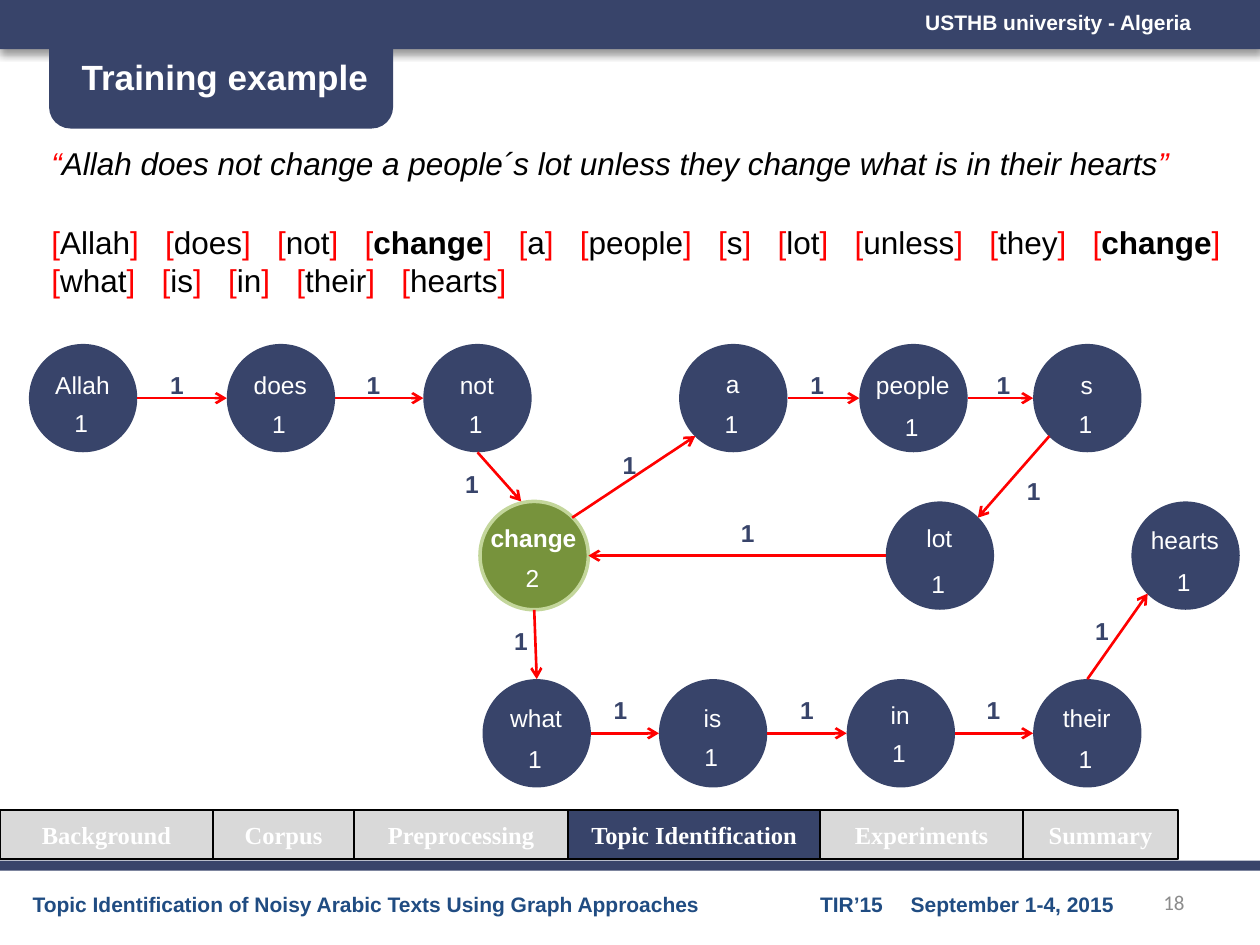
from dataclasses import dataclass

from lxml.etree import SubElement
from pptx import Presentation
from pptx.dml.color import RGBColor
from pptx.enum.shapes import MSO_CONNECTOR, MSO_SHAPE
from pptx.enum.text import MSO_ANCHOR, PP_ALIGN
from pptx.oxml.ns import qn
from pptx.util import Inches, Pt


@dataclass(frozen=True)
class Theme:
    """Colours, typefaces and type sizes of the slide."""
    navy: str = "38446A"
    footer: str = "204C82"
    red: str = "FF0000"
    black: str = "000000"
    white: str = "FFFFFF"
    grey: str = "D9D9D9"
    number: str = "8C8C8C"
    green: str = "77933C"
    pale_green: str = "C3D69B"
    sans: str = "Arial"
    serif: str = "Times New Roman"
    number_face: str = "Calibri"
    small: int = 12
    label: int = 14
    body: int = 18
    title: int = 20


@dataclass(frozen=True)
class Box:
    """A rectangle in inches."""
    left: float
    top: float
    width: float
    height: float

    def inner(self, left, top, width, height):
        """Return a box placed relative to this one."""
        return Box(self.left + left, self.top + top, width, height)

    def point(self, across, down):
        """Return the point at the given fractions of this box."""
        return self.left + across * self.width, self.top + down * self.height

    def lengths(self):
        """Return the four sides as slide lengths."""
        return [Inches(side) for side in (self.left, self.top, self.width, self.height)]


THEME = Theme()
NODE_SIZE = 0.86
SITES = {
    "top": (0.5, 0), "bottom": (0.5, 1), "left": (0, 0.5), "right": (1, 0.5),
    "top left": (0.15, 0.15), "top right": (0.85, 0.15), "upper": (0.38, 0),
    "bottom left": (0.15, 0.85), "bottom right": (0.85, 0.85),
}
NODES = {
    "Allah": (0, 0, 0.16, 0.46, 1),
    "does": (1.57, 0, 0.16, 0.47, 1),
    "not": (3.13, 0, 0.16, 0.47, 1),
    "a": (5.16, 0, 0.15, 0.47, 1),
    "people": (6.59, 0, 0.16, 0.49, 1),
    "s": (7.97, 0, 0.16, 0.47, 1),
    "change": (3.58, 1.25, 0.12, 0.44, 2),
    "lot": (6.8, 1.25, 0.12, 0.49, 1),
    "hearts": (8.75, 1.25, 0.14, 0.47, 1),
    "what": (3.6, 2.66, 0.14, 0.47, 1),
    "is": (5, 2.66, 0.14, 0.45, 1),
    "in": (6.49, 2.66, 0.12, 0.42, 1),
    "their": (7.97, 2.66, 0.14, 0.47, 1),
}
EDGES = [
    ("Allah", "right", "does", "left", 1.02, 0.16),
    ("does", "right", "not", "left", 2.58, 0.16),
    ("not", "bottom", "change", "upper", 3.36, 0.94),
    ("change", "top right", "a", "bottom left", 4.61, 0.79),
    ("a", "right", "people", "left", 6.1, 0.16),
    ("people", "right", "s", "left", 7.58, 0.16),
    ("s", "bottom left", "lot", "top right", 7.82, 1),
    ("lot", "left", "change", "right", 5.55, 1.33),
    ("change", "bottom", "what", "top", 3.75, 2.19),
    ("what", "right", "is", "left", 4.54, 2.74),
    ("is", "right", "in", "left", 6.02, 2.74),
    ("in", "right", "their", "left", 7.5, 2.74),
    ("their", "top", "hearts", "bottom left", 8.36, 2.11),
]
SECTIONS = [("Background", 1.69), ("Corpus", 1.12), ("Preprocessing", 1.7),
            ("Topic Identification", 2), ("Experiments", 1.61), ("Summary", 1.23)]
QUOTE = "Allah does not change a people´s lot unless they change what is in their hearts"


def colour(code):
    """Turn a hex code into a colour."""
    return RGBColor.from_string(code)


def style(font, size, code, face=THEME.sans, bold=False, italic=False):
    """Set the look of a font."""
    font.name, font.size, font.bold, font.italic = face, Pt(size), bold, italic
    font.color.rgb = colour(code)


def add_text(page, box, text, size, code, align=PP_ALIGN.LEFT, **look):
    """Add a text box of one paragraph and return the paragraph."""
    frame = page.shapes.add_textbox(*box.lengths()).text_frame
    frame.word_wrap = True
    para = frame.paragraphs[0]
    para.text, para.alignment = text, align
    style(para.font, size, code, **look)
    return para


def add_span(para, text, code, bold=False):
    """Add a coloured run to a paragraph and return it."""
    span = para.add_run()
    span.text, span.font.bold = text, bold
    span.font.color.rgb = colour(code)
    return span


def add_block(page, kind, box, fill, line=None, width=1):
    """Add a flat filled shape."""
    block = page.shapes.add_shape(kind, *box.lengths())
    block.shadow.inherit = False
    block.fill.solid()
    block.fill.fore_color.rgb = colour(fill)
    if line:
        block.line.color.rgb = colour(line)
        block.line.width = Pt(width)
    else:
        block.line.fill.background()
    return block


def add_arrow(page, start, end):
    """Add a red arrow between two points."""
    ends = [Inches(value) for value in (*start, *end)]
    arrow = page.shapes.add_connector(MSO_CONNECTOR.STRAIGHT, *ends)
    arrow.line.color.rgb = colour(THEME.red)
    arrow.line.width = Pt(1.5)
    SubElement(arrow.line._get_or_add_ln(), qn("a:tailEnd"), type="arrow")
    SubElement(arrow._element.spPr, qn("a:effectLst"))


def add_header(page, box):
    """Draw the top bar and the title tab."""
    bar = add_block(page, MSO_SHAPE.RECTANGLE, box.inner(0, 0, box.width, 0.39), THEME.navy)
    effects = bar._element.spPr.find(qn("a:effectLst"))
    shadow = SubElement(effects, qn("a:outerShdw"), blurRad=str(Pt(4)), dist=str(Pt(3)),
                        dir="5400000", rotWithShape="0")
    tint = SubElement(shadow, qn("a:srgbClr"), val=THEME.black)
    SubElement(tint, qn("a:alpha"), val="40000")
    add_block(page, MSO_SHAPE.FLOWCHART_ALTERNATE_PROCESS,
              box.inner(0.39, 0, 2.73, 1.02), THEME.navy)
    add_text(page, box.inner(0.55, 0.39, 2.5, 0.44), "Training example",
             THEME.title, THEME.white, bold=True)
    add_text(page, box.inner(7.19, 0.03, 2.42, 0.31), "USTHB university - Algeria",
             THEME.small, THEME.white, PP_ALIGN.CENTER, bold=True)


def add_sentence(page, box):
    """Write the quoted sentence and its bracketed words."""
    quote = add_text(page, box.inner(0, 0, 9.22, 0.4), "", THEME.body, THEME.black, italic=True)
    for text, code in (("“", THEME.red), (QUOTE, THEME.black), ("”", THEME.red)):
        add_span(quote, text, code)
    tokens = add_text(page, box.inner(0, 0.63, box.width, 0.71), "", THEME.body, THEME.black)
    for index, word in enumerate(QUOTE.replace("´", " ").split()):
        if index:
            gap = add_span(tokens, " ", THEME.red)
            gap.font._rPr.set("spc", "1000")
        add_span(tokens, "[", THEME.red)
        add_span(tokens, word, THEME.black, word == "change")
        add_span(tokens, "]", THEME.red)


def add_node(page, box, word, label_top, count_top, count):
    """Draw a word circle with its count."""
    repeated = count > 1
    add_block(page, MSO_SHAPE.OVAL, box, THEME.green if repeated else THEME.navy,
              THEME.pale_green if repeated else None, 2)
    add_text(page, box.inner(-0.06, label_top, 0.97, 0.34), word,
             THEME.label, THEME.white, PP_ALIGN.CENTER, bold=repeated)
    add_text(page, box.inner(0.26, count_top, 0.31, 0.34), str(count),
             THEME.label, THEME.white, PP_ALIGN.CENTER)


def add_graph(page, box):
    """Draw the word graph with weighted arrows."""
    circles = {}
    for word, (left, top, *details) in NODES.items():
        circles[word] = box.inner(left, top, NODE_SIZE, NODE_SIZE)
        add_node(page, circles[word], word, *details)
    for source, exit_site, target, entry_site, left, top in EDGES:
        add_arrow(page, circles[source].point(*SITES[exit_site]),
                  circles[target].point(*SITES[entry_site]))
        add_text(page, box.inner(left, top, 0.31, 0.34), "1",
                 THEME.label, THEME.navy, PP_ALIGN.CENTER, bold=True)


def add_sections(page, box):
    """Draw the row of section tabs."""
    left = 0
    for name, width in SECTIONS:
        fill = THEME.navy if name == "Topic Identification" else THEME.grey
        tab = add_block(page, MSO_SHAPE.RECTANGLE, box.inner(left, 0, width, box.height),
                        fill, THEME.black)
        tab.text_frame.vertical_anchor = MSO_ANCHOR.MIDDLE
        para = tab.text_frame.paragraphs[0]
        para.text, para.alignment = name, PP_ALIGN.CENTER
        style(para.font, THEME.label, THEME.white, THEME.serif, bold=True)
        left += width


def add_footer(page, box):
    """Draw the bottom rule, the credits and the page number."""
    add_block(page, MSO_SHAPE.RECTANGLE, box.inner(0, 0, box.width, 0.08), THEME.navy)
    notes = [("Topic Identification of Noisy Arabic Texts Using Graph Approaches", 0.16, 5.55),
             ("TIR’15", 6.41, 0.75), ("September 1-4, 2015", 7.13, 2)]
    for text, left, width in notes:
        add_text(page, box.inner(left, 0.2, width, 0.3), text,
                 THEME.small, THEME.footer, bold=True)
    add_text(page, box.inner(9, 0.18, 0.5, 0.3), "18", THEME.small, THEME.number,
             PP_ALIGN.RIGHT, face=THEME.number_face)


def main():
    """Build and save the slide."""
    deck = Presentation()
    deck.slide_width, deck.slide_height = Inches(10), Inches(7.5)
    page = deck.slides.add_slide(deck.slide_layouts[6])
    add_header(page, Box(0, 0, 10, 1.02))
    add_sentence(page, Box(0.31, 1.09, 9.61, 1.34))
    add_graph(page, Box(0.23, 2.73, 9.61, 3.52))
    add_sections(page, Box(0, 6.43, 9.35, 0.39))
    add_footer(page, Box(0, 6.83, 10, 0.67))
    deck.save("out.pptx")


if __name__ == "__main__":
    main()
